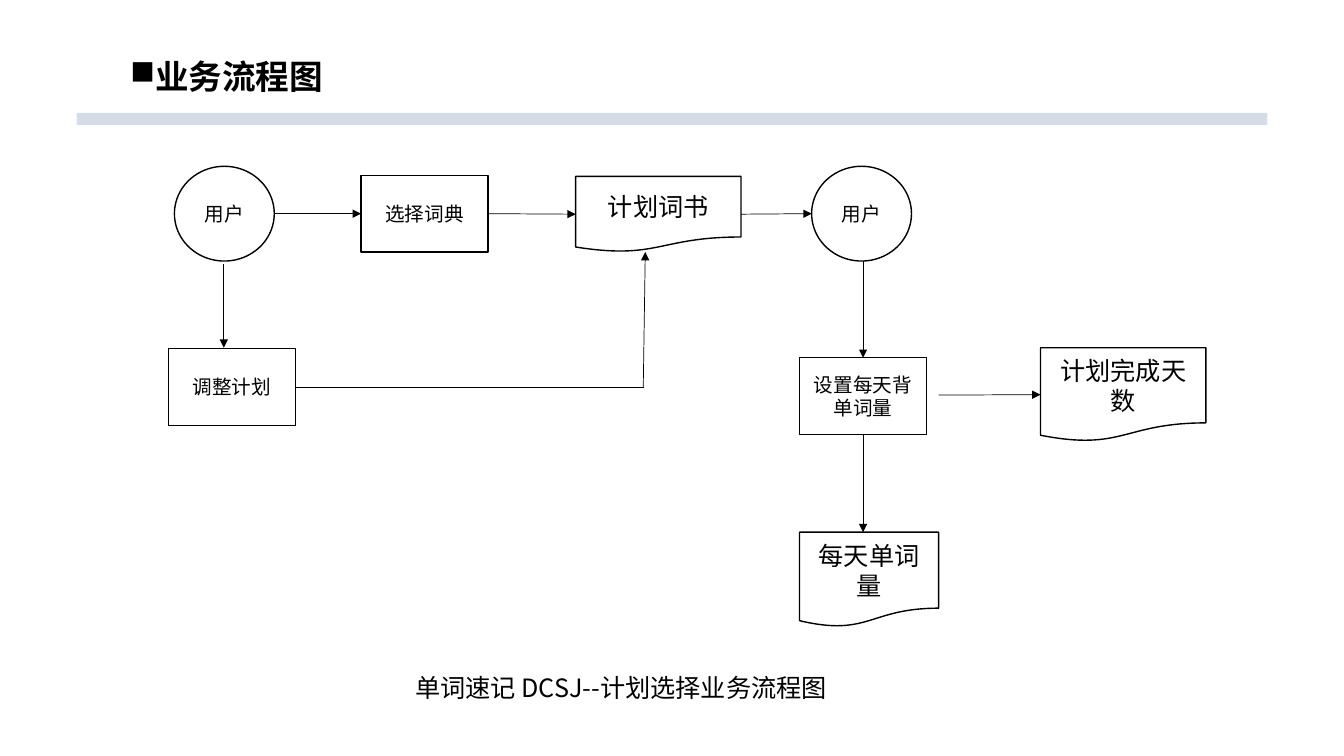
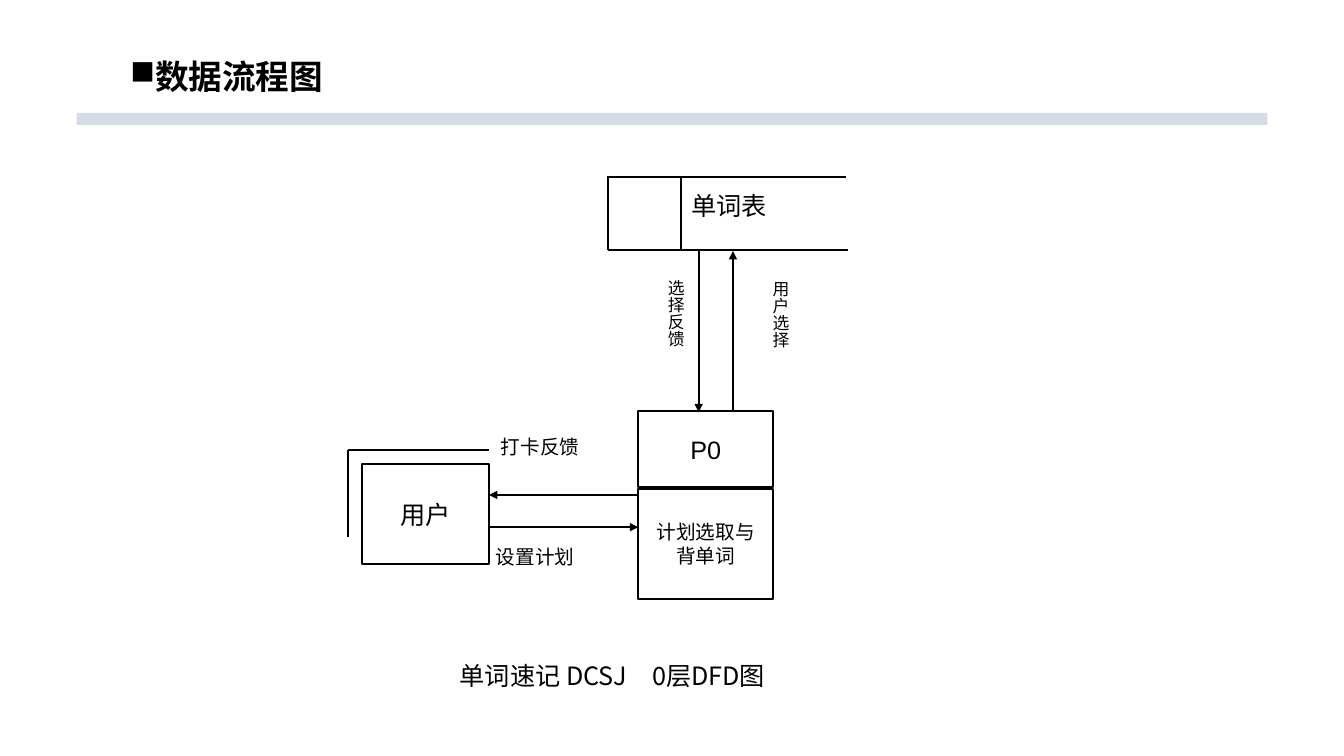
from dataclasses import dataclass

from lxml.etree import SubElement
from pptx import Presentation
from pptx.dml.color import RGBColor
from pptx.enum.shapes import MSO_CONNECTOR, MSO_SHAPE
from pptx.enum.text import MSO_ANCHOR, MSO_AUTO_SIZE, PP_ALIGN
from pptx.oxml.ns import qn
from pptx.util import Inches, Pt


@dataclass(frozen=True)
class Theme:
    ink: RGBColor = RGBColor(0, 0, 0)
    paper: RGBColor = RGBColor(255, 255, 255)
    band: RGBColor = RGBColor(0xD6, 0xDC, 0xE5)
    sans: str = "Arial"
    han: str = "Noto Sans CJK SC"
    head: int = 24
    large: int = 18
    small: int = 14
    tiny: int = 12


theme = Theme()
RECT = MSO_SHAPE.RECTANGLE
ROUND = MSO_SHAPE.FLOWCHART_CONNECTOR
DOC = MSO_SHAPE.FLOWCHART_DOCUMENT
TOP, LEFT, BOTTOM, RIGHT = range(4)


def put(slide, kind, text, box, size, width=1, face=theme.sans, align=PP_ALIGN.CENTER):
    """Add an outlined shape, or a plain text box when kind is None."""
    place = [Inches(v) for v in box]
    if kind is None:
        shape = slide.shapes.add_textbox(*place)
    else:
        shape = slide.shapes.add_shape(kind, *place)
        shape.shadow.inherit = False
        shape.fill.solid()
        shape.fill.fore_color.rgb = theme.paper
        shape.line.color.rgb = theme.ink
        shape.line.width = Pt(width)
        shape.text_frame.vertical_anchor = MSO_ANCHOR.MIDDLE
    shape.text_frame.word_wrap = True
    para = shape.text_frame.paragraphs[0]
    para.alignment = align
    run = para.add_run()
    run.text = text
    run.font.color.rgb = theme.ink
    for name, value in {"name": face, "size": Pt(size)}.items():
        setattr(run.font, name, value)
    return shape


def wire(slide, start, end, width, tip=True):
    """Draw a line; each end is an (x, y) point or a (shape, side) pair."""
    fixed = [isinstance(spot[0], (int, float)) for spot in (start, end)]
    points = [Inches(v) for spot, free in zip((start, end), fixed)
              for v in (spot if free else (0, 0))]
    line = slide.shapes.add_connector(MSO_CONNECTOR.STRAIGHT, *points)
    for spot, free, join in zip((start, end), fixed, (line.begin_connect, line.end_connect)):
        if not free:
            join(*spot)
    line.line.color.rgb = theme.ink
    line.line.width = Pt(width)
    props = line.element.spPr
    if tip:
        SubElement(props.find(qn("a:ln")), qn("a:tailEnd"), type="triangle")
    SubElement(props, qn("a:effectLst"))


deck = Presentation()
deck.slide_width, deck.slide_height = Inches(13.33), Inches(7.5)
layout = deck.slide_layouts[5]

# Shared title place, title style and band
spot = {"left": 0.76, "top": 0, "width": 11.81, "height": 1.01}
for name, value in spot.items():
    setattr(layout.placeholders[0], name, Inches(value))

slides = []
for text in ("业务流程图", "数据流程图"):
    slide = deck.slides.add_slide(layout)
    frame = slide.shapes.title.text_frame
    frame.text = text
    frame.vertical_anchor = MSO_ANCHOR.BOTTOM
    frame.auto_size = MSO_AUTO_SIZE.NONE
    para = frame.paragraphs[0]
    para.alignment = PP_ALIGN.LEFT
    para.line_spacing = 0.9
    props = para._p.get_or_add_pPr()
    props.set("marL", "0")
    props.set("indent", str(Inches(0.43)))
    SubElement(props, qn("a:buChar"), char="■")
    font = para.runs[0].font
    for name, value in {"name": theme.han, "size": Pt(theme.head), "bold": True}.items():
        setattr(font, name, value)
    font.color.rgb = theme.ink
    slides.append(slide)
flow, data = slides

band = flow.shapes.add_shape(RECT, *[Inches(v) for v in (0.76, 1.12, 11.81, 0.12)])
band.shadow.inherit = False
band.fill.solid()
band.fill.fore_color.rgb = theme.band
band.line.fill.background()
layout.shapes.element.append(band.element)

# Business flow
nodes = {}
for key, kind, text, box, size in (
    ("user", ROUND, "用户", (1.73, 1.65, 0.99, 0.94), theme.small),
    ("pick", RECT, "选择词典", (3.58, 1.74, 1.26, 0.76), theme.small),
    ("book", DOC, "计划词书", (5.71, 1.75, 1.64, 0.75), theme.large),
    ("reader", ROUND, "用户", (8.05, 1.65, 0.99, 0.94), theme.small),
    ("adjust", RECT, "调整计划", (1.67, 3.46, 1.26, 0.76), theme.small),
    ("quota", RECT, "设置每天背单词量", (7.93, 3.55, 1.26, 0.76), theme.small),
    ("days", DOC, "计划完成天数", (10.32, 3.45, 1.64, 0.93), theme.large),
    ("daily", DOC, "每天单词量", (7.93, 5.28, 1.38, 0.94), theme.large),
):
    nodes[key] = put(flow, kind, text, box, size)

for start, end, tip in (
    ((2.72, 2.12), (nodes["pick"], LEFT), True),
    ((nodes["pick"], RIGHT), (nodes["book"], LEFT), True),
    ((nodes["book"], RIGHT), (8.05, 2.12), True),
    ((2.22, 2.62), (2.22, 3.45), True),
    ((nodes["adjust"], RIGHT), (6.39, 3.84), False),
    ((6.38, 3.84), (6.4, 2.5), True),
    ((8.56, 2.59), (nodes["quota"], TOP), True),
    ((nodes["quota"], BOTTOM), (8.56, 5.28), True),
    ((9.31, 3.92), (nodes["days"], LEFT), True),
):
    wire(flow, start, end, 0.5, tip)

put(flow, None, "单词速记 DCSJ--计划选择业务流程图", (3.41, 6.62, 5.5, 0.4),
    theme.large, face=theme.han)

# Data flow
for text, box, size in (
    ("用户", (3.59, 4.6, 1.26, 1), theme.large),
    ("计划选取与背单词", (6.33, 4.85, 1.34, 1.09), theme.small),
    ("P0", (6.33, 4.08, 1.34, 0.75), theme.large),
):
    put(data, RECT, text, box, size, 1.5)

for start, end, tip in (
    # Corner of the user box
    ((3.45, 4.46), (4.85, 4.46), False),
    ((3.45, 4.46), (3.45, 5.33), False),
    # Open frame of the word table
    ((6.02, 1.76), (8.39, 1.76), False),
    ((6.03, 2.48), (8.41, 2.48), False),
    ((6.03, 1.76), (6.03, 2.48), False),
    ((6.75, 1.76), (6.75, 2.48), False),
    # Flows
    ((6.33, 4.91), (4.85, 4.91), True),
    ((4.85, 5.23), (6.33, 5.23), True),
    ((6.93, 2.49), (6.93, 4.09), True),
    ((7.27, 4.09), (7.27, 2.49), True),
):
    wire(data, start, end, 1.5, tip)

for text, box, size, face in (
    ("单词表", (6.76, 1.84, 2.55, 0.65), theme.large, theme.sans),
    ("设置计划", (4.82, 5.36, 1.48, 0.54), theme.small, theme.sans),
    ("打卡反馈", (4.87, 4.27, 1.48, 0.54), theme.small, theme.sans),
    ("单词速记 DCSJ　0层DFD图", (4.46, 6.5, 3.69, 0.4), theme.large, theme.han),
):
    put(data, None, text, box, size, face=face, align=PP_ALIGN.LEFT)

for text, left, top in (("用户选择", 7.32, 2.69), ("选择反馈", 6.28, 2.68)):
    label = put(data, None, text, (left, top, 0.57, 1.96), theme.tiny, align=PP_ALIGN.LEFT)
    label.text_frame._txBody.bodyPr.set("vert", "eaVert")

deck.save("out.pptx")
